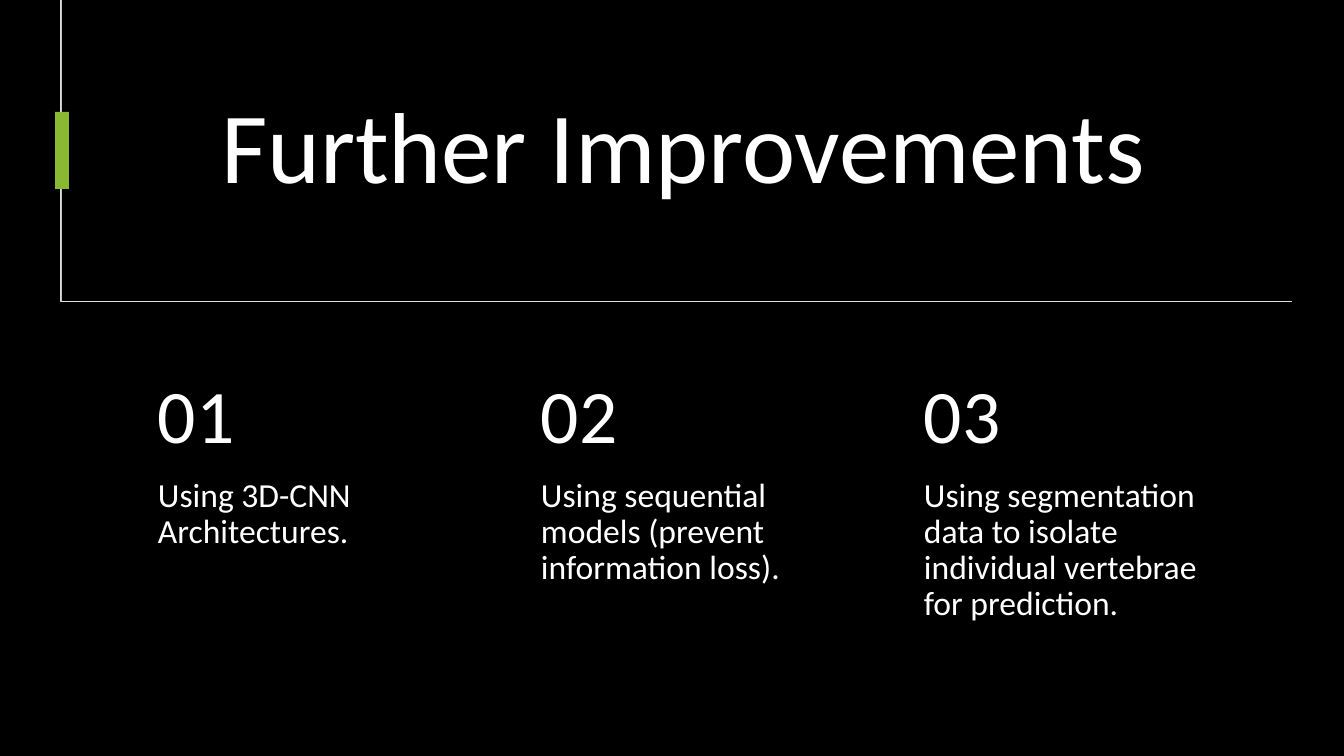
import pptx
import pptx.dml.color
import pptx.enum.shapes
import pptx.enum.text
import pptx.util

RGBColor = pptx.dml.color.RGBColor
ANCHOR = pptx.enum.text.MSO_ANCHOR
ALIGN = pptx.enum.text.PP_ALIGN

# Content
TITLE = "Further Improvements"
IMPROVEMENTS = [
    "Using 3D-CNN Architectures.",
    "Using sequential models (prevent information loss).",
    "Using segmentation data to isolate individual vertebrae for prediction.",
]

BLACK = RGBColor(0x00, 0x00, 0x00)
WHITE = RGBColor(0xFF, 0xFF, 0xFF)
GREY = RGBColor(0xDE, 0xDE, 0xDE)
GREEN = RGBColor(0x8A, 0xB8, 0x33)
FONT = "Calibri"

# Layout in px
PX_PER_INCH = 100.8
SLIDE_W, SLIDE_H = 1344, 756
CARD_LEFT, CARD_TOP, CARD_W, CARD_H = 123, 358, 355, 302
CARD_STEP = 383
NUMBER_H = 121
CARD_INSET, NUMBER_INSET, DETAIL_BOTTOM_INSET = 35, 18, 36


def px(length):
    return pptx.util.Emu(round(length * 914400 / PX_PER_INCH))


def add_box(shapes, left, top, width, height, fill, line=None, line_width=1):
    box = shapes.add_shape(pptx.enum.shapes.MSO_SHAPE.RECTANGLE,
                           px(left), px(top), px(width), px(height))
    box.shadow.inherit = False
    box.fill.solid()
    box.fill.fore_color.rgb = fill
    if line is None:
        box.line.fill.background()
    else:
        box.line.color.rgb = line
        box.line.width = pptx.util.Pt(line_width)


def write(frame, text, size, anchor, align=ALIGN.LEFT):
    frame.word_wrap = True
    frame.auto_size = pptx.enum.text.MSO_AUTO_SIZE.NONE
    frame.vertical_anchor = anchor
    frame.text = text
    paragraph = frame.paragraphs[0]
    paragraph.alignment = align
    paragraph.line_spacing = 0.9
    font = paragraph.runs[0].font
    font.name, font.size = FONT, pptx.util.Pt(size)
    font.color.rgb = WHITE


def add_card_text(shapes, left, top, height, text, size, anchor, insets):
    frame = shapes.add_textbox(px(left), px(top), px(CARD_W), px(height)).text_frame
    frame.margin_left = frame.margin_right = px(CARD_INSET)
    frame.margin_top, frame.margin_bottom = map(px, insets)
    write(frame, text, size, anchor)


deck = pptx.Presentation()
deck.slide_width, deck.slide_height = px(SLIDE_W), px(SLIDE_H)
slide = deck.slides.add_slide(deck.slide_layouts[5])
slide.background.fill.solid()
slide.background.fill.fore_color.rgb = BLACK

# Title frame, open at the top of the slide
add_box(slide.shapes, 61, 0, 1231, 302, BLACK, GREY, 0.75)
add_box(slide.shapes, 62, 0, 1230, 301, BLACK)

# Title, brought in front of its frame
title = slide.shapes.title
title.left, title.top, title.width, title.height = map(px, (123, 38, 1121, 226))
write(title.text_frame, TITLE, 72, ANCHOR.MIDDLE, ALIGN.CENTER)
slide.shapes.element.append(title.element)

# Accent bar
add_box(slide.shapes, 55, 112, 14, 77, GREEN)

# Numbered cards
for index, improvement in enumerate(IMPROVEMENTS):
    left = CARD_LEFT + index * CARD_STEP
    card = slide.shapes.add_group_shape().shapes
    add_box(card, left, CARD_TOP, CARD_W, CARD_H, BLACK, BLACK)
    add_card_text(card, left, CARD_TOP + NUMBER_H - 1, CARD_H - NUMBER_H, improvement,
                  24, ANCHOR.TOP, (0, DETAIL_BOTTOM_INSET))
    add_card_text(card, left, CARD_TOP, NUMBER_H, f"{index + 1:02d}",
                  54, ANCHOR.MIDDLE, (NUMBER_INSET, NUMBER_INSET))

deck.save("out.pptx")
